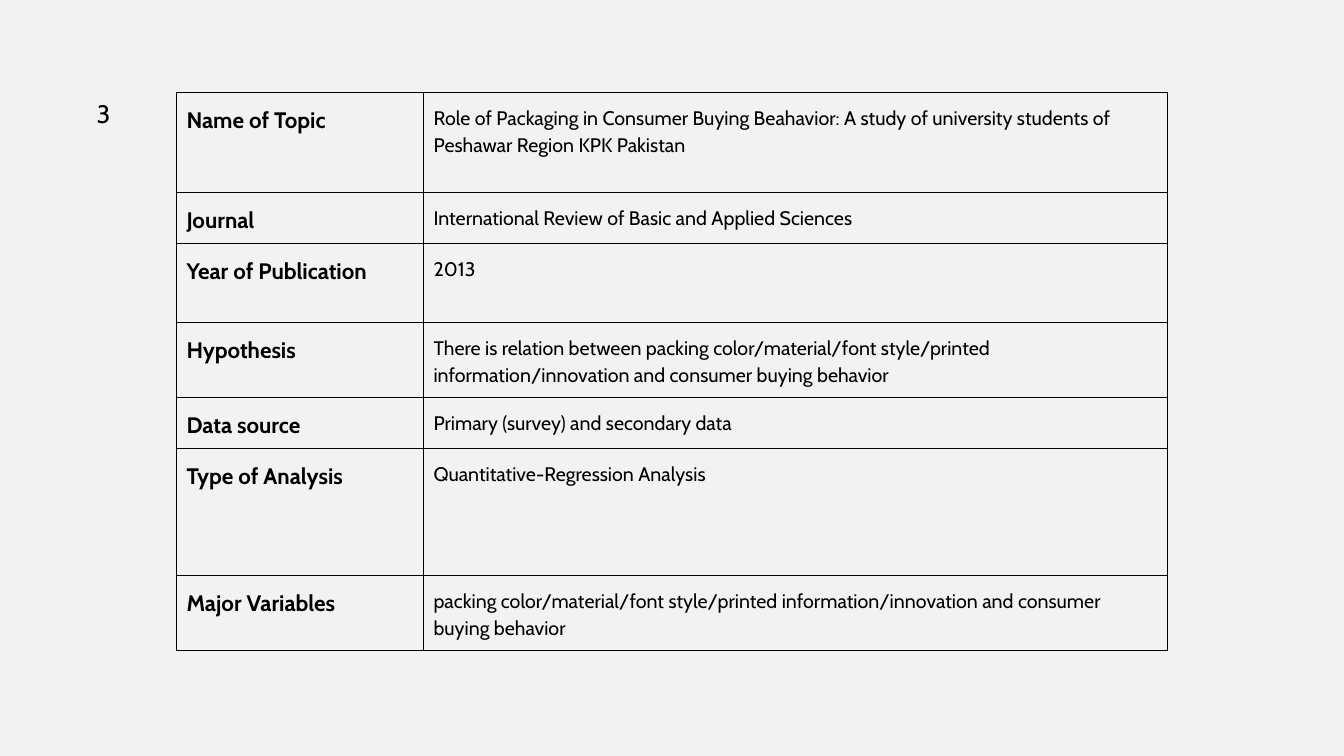
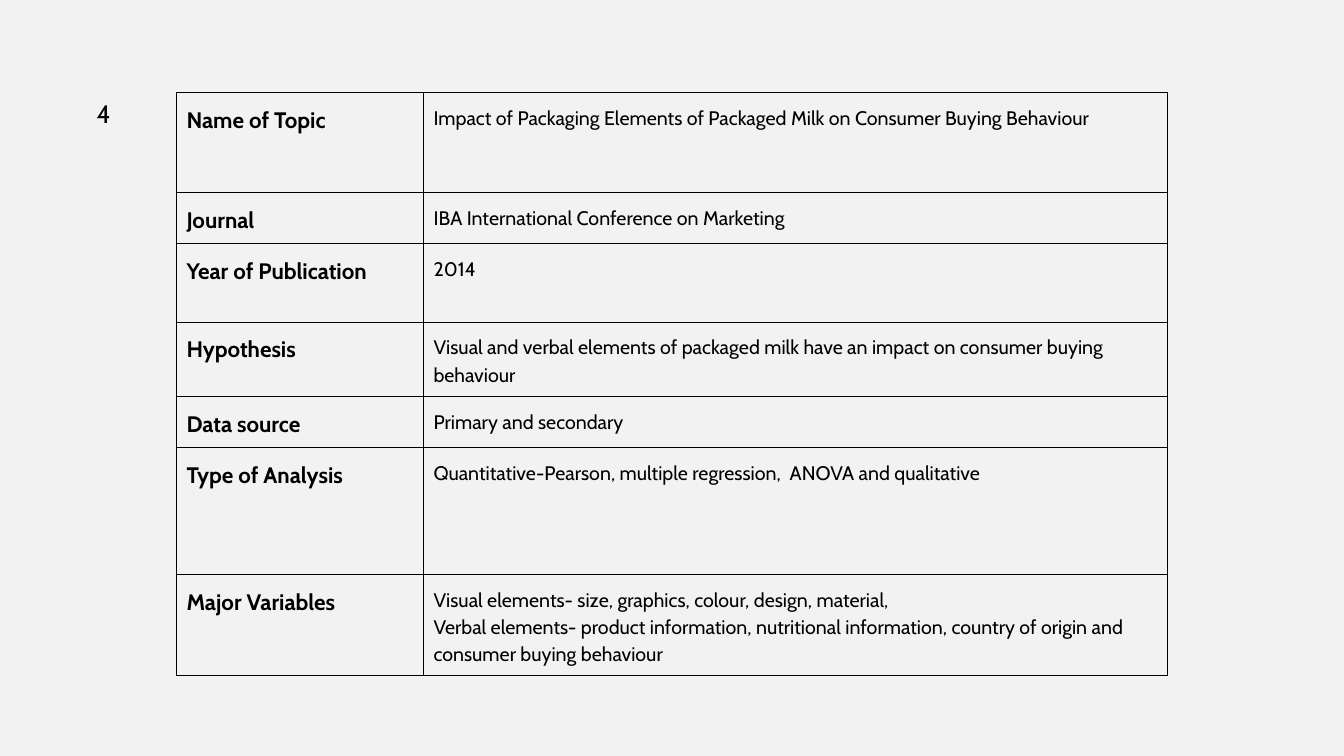
from lxml.etree import SubElement
from pptx import Presentation
from pptx.dml.color import RGBColor
from pptx.enum.text import MSO_AUTO_SIZE as AutoSize
from pptx.oxml.ns import qn
from pptx.util import Inches, Pt

TOPICS = ["Name of Topic", "Journal", "Year of Publication", "Hypothesis",
          "Data source", "Type of Analysis", "Major Variables"]
ROW_HEIGHTS = [0.99, 0.47, 0.78, 0.71, 0.47, 1.26, 0.71]
COLUMN_WIDTHS = [2.45, 7.38]

STUDIES = {
    "3": [
        ["Role of Packaging in Consumer Buying Beahavior: A study of university "
         "students of Peshawar Region KPK Pakistan"],
        ["International Review of Basic and Applied Sciences"],
        ["2013"],
        ["There is relation between packing color/material/font style/printed "
         "information/innovation and consumer buying behavior"],
        ["Primary (survey) and secondary data"],
        ["Quantitative-Regression Analysis"],
        ["packing color/material/font style/printed information/innovation and "
         "consumer buying behavior"],
    ],
    "4": [
        ["Impact of Packaging Elements of Packaged Milk on Consumer Buying Behaviour"],
        ["IBA International Conference on Marketing"],
        ["2014"],
        ["Visual and verbal elements of packaged milk have an impact on consumer "
         "buying behaviour"],
        ["Primary and secondary"],
        ["Quantitative-Pearson, multiple regression,  ANOVA and qualitative"],
        ["Visual elements- size, graphics, colour, design, material,",
         "Verbal elements- product information, nutritional information, country "
         "of origin and consumer buying behaviour"],
    ],
}


def color(code):
    """Turn a hex string into a colour."""
    return RGBColor.from_string(code)


class ReviewDeck:
    """Hold the shared style and the current slide."""

    font = "Cabin"
    ink = "000000"
    paper = "F2F2F2"

    def __init__(self):
        """Start an empty wide presentation."""
        self.deck = Presentation()
        self.deck.slide_width = Inches(13.33)
        self.deck.slide_height = Inches(7.5)
        self.slide = None

    def new_slide(self):
        """Add a blank slide with the shared background."""
        self.slide = self.deck.slides.add_slide(self.deck.slide_layouts[6])
        backdrop = self.slide.background.fill
        backdrop.solid()
        backdrop.fore_color.rgb = color(self.paper)

    def add_lines(self, frame, lines, size, bold=False, spacing=None):
        """Set each line as a paragraph in the shared font."""
        for index, line in enumerate(lines):
            paragraph = frame.add_paragraph() if index else frame.paragraphs[0]
            paragraph.line_spacing = spacing
            run = paragraph.add_run()
            run.text = line
            run.font.name = self.font
            run.font.size = Pt(size)
            run.font.bold = bold
            run.font.color.rgb = color(self.ink)

    def number(self, label):
        """Put the study number left of the table."""
        box = self.slide.shapes.add_textbox(
            Inches(0.86), Inches(0.93), Inches(0.33), Inches(0.4))
        box.text_frame.word_wrap = False
        box.text_frame.auto_size = AutoSize.SHAPE_TO_FIT_TEXT
        self.add_lines(box.text_frame, [label], 18)

    def rule_cell(self, cell):
        """Draw thin lines on all four sides of a cell."""
        properties = cell._tc.get_or_add_tcPr()
        for side in ("a:lnL", "a:lnR", "a:lnT", "a:lnB"):
            line = SubElement(properties, qn(side), w=str(Pt(0.75)))
            fill = SubElement(line, qn("a:solidFill"))
            SubElement(fill, qn("a:srgbClr"), val=self.ink)

    def fill_cell(self, cell, lines, size, bold):
        """Style one cell and set its text."""
        cell.margin_left = cell.margin_right = Inches(0.1)
        cell.margin_top = cell.margin_bottom = Inches(0.1)
        self.rule_cell(cell)
        cell.fill.background()
        self.add_lines(cell.text_frame, lines, size, bold, 1.15)

    def summary(self, findings):
        """Add the table that pairs each topic with its finding."""
        table = self.slide.shapes.add_table(
            len(TOPICS), len(COLUMN_WIDTHS), Inches(1.75), Inches(0.92),
            Inches(sum(COLUMN_WIDTHS)), Inches(sum(ROW_HEIGHTS))).table
        table.first_row = table.horz_banding = False
        for column, width in zip(table.columns, COLUMN_WIDTHS):
            column.width = Inches(width)
        for row, height, topic, finding in zip(
                table.rows, ROW_HEIGHTS, TOPICS, findings):
            row.height = Inches(height)
            self.fill_cell(row.cells[0], [topic], 16, True)
            self.fill_cell(row.cells[1], finding, 14, False)


def main():
    """Build one slide for each study."""
    review = ReviewDeck()
    for label, findings in STUDIES.items():
        review.new_slide()
        review.summary(findings)
        review.number(label)
    review.deck.save("out.pptx")


if __name__ == "__main__":
    main()
